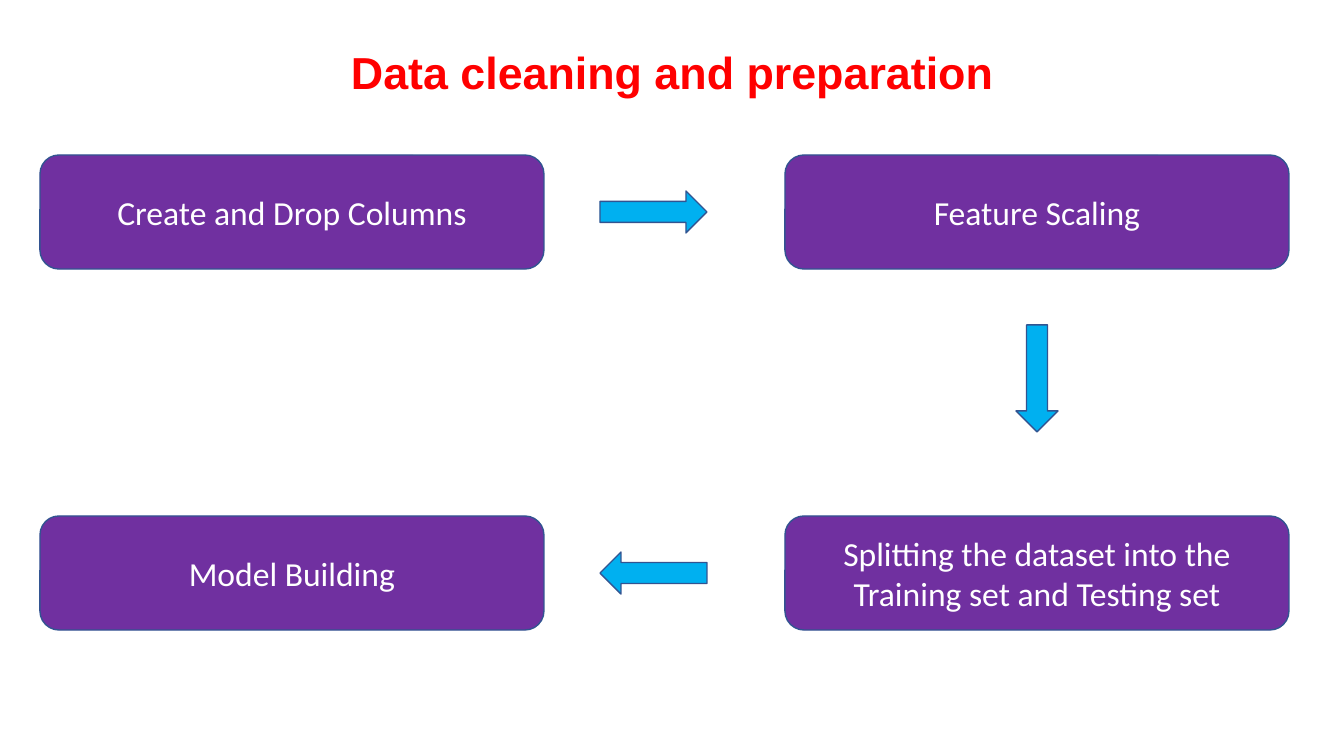
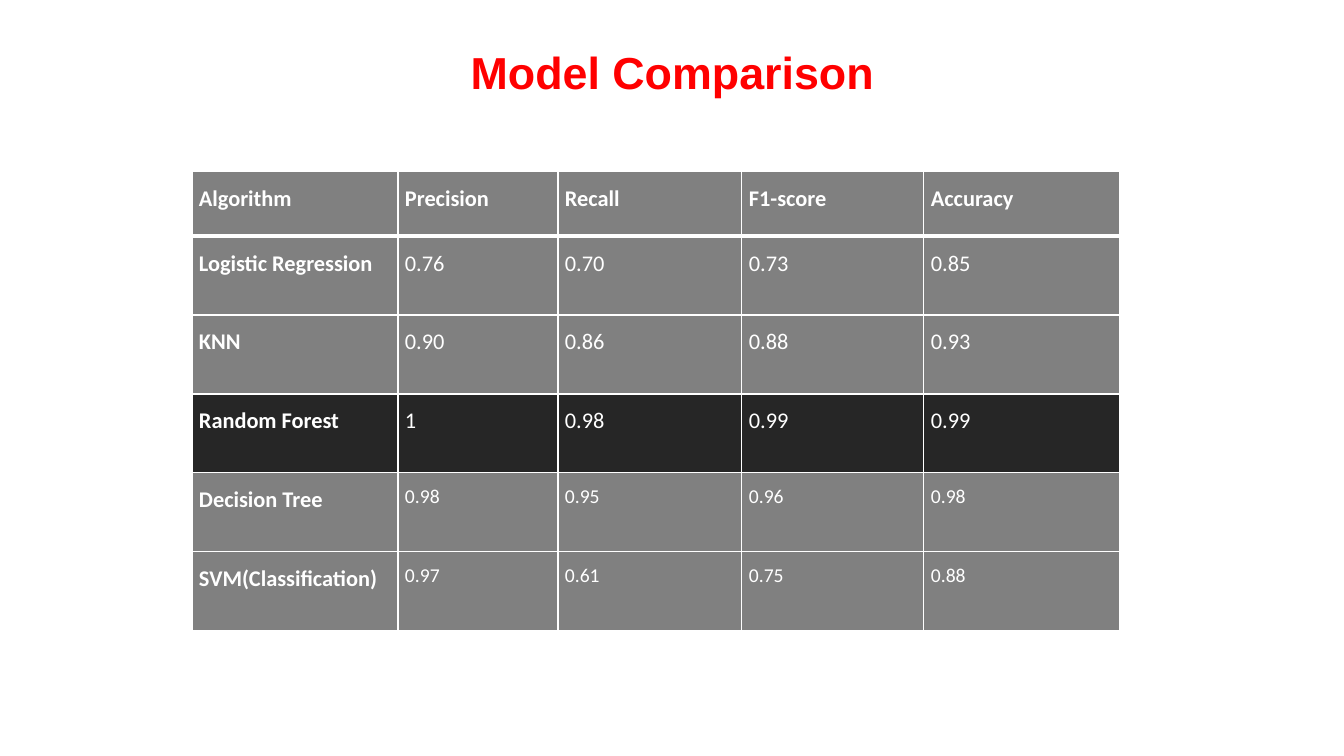
"""Build two slides: a data preparation flow and a model comparison table."""
from lxml import etree
from pptx import Presentation
from pptx import util as u
from pptx.dml.color import RGBColor
from pptx.enum import shapes, text
from pptx.oxml.ns import qn

SCALE = 914400 / 100.8
SLIDE_SIZE = (1344, 756)
TITLE_BOX = (93, 18, 1159, 114)
FLOW_BOX = (40, 155, 1249, 475)
TABLE_BOX = (192, 171, 928, 460)

RED = RGBColor(0xFF, 0x00, 0x00)
WHITE = RGBColor(0xFF, 0xFF, 0xFF)
PURPLE = RGBColor(0x70, 0x30, 0xA0)
SKY = RGBColor(0x00, 0xB0, 0xF0)
OUTLINE = RGBColor(0x32, 0x54, 0x91)
GRAY = RGBColor(0x80, 0x80, 0x80)
DARK = RGBColor(0x26, 0x26, 0x26)

TITLE_FONT = {"name": "Arial", "size": u.Pt(32), "bold": True}
STEP_FONT = {"name": "Calibri", "size": u.Pt(24)}
CENTERED = {"alignment": text.PP_ALIGN.CENTER}
TITLE_PARAGRAPH = {**CENTERED, "line_spacing": 0.9}
CELL_PARAGRAPH = {"alignment": text.PP_ALIGN.JUSTIFY, "line_spacing": 1.5, "space_after": u.Pt(8)}

STEP_SIZE = (504, 114)
ARROW_SIZE = (107, 42)
ARROW_GAP = 56
STEPS = (
    "Create and Drop Columns",
    "Feature Scaling",
    "Splitting the dataset into the Training set and Testing set",
    "Model Building",
)

COLUMN_WIDTHS = (206, 160, 184, 182, 196)
HEADER_HEIGHT = 65
HIGHLIGHTED_ROW = 3
SMALL_VALUE_ROWS = (4, 5)
SCORES = (
    ("Algorithm", "Precision", "Recall", "F1-score", "Accuracy"),
    ("Logistic Regression", "0.76", "0.70", "0.73", "0.85"),
    ("KNN", "0.90", "0.86", "0.88", "0.93"),
    ("Random Forest", "1", "0.98", "0.99", "0.99"),
    ("Decision Tree", "0.98", "0.95", "0.96", "0.98"),
    ("SVM(Classification)", "0.97", "0.61", "0.75", "0.88"),
)


def px(length):
    """Turn pixels into EMU."""
    return u.Emu(round(length * SCALE))


def apply(target, values):
    """Set each named attribute on the target."""
    for name, value in values.items():
        setattr(target, name, value)


def write(frame, content, font, color, paragraph_format):
    """Write one formatted paragraph into a text frame."""
    frame.word_wrap = True
    frame.vertical_anchor = text.MSO_ANCHOR.MIDDLE
    fill_paragraph(frame, content, font, color, paragraph_format)


def fill_paragraph(frame, content, font, color, paragraph_format):
    """Fill the first paragraph with one formatted run."""
    paragraph = frame.paragraphs[0]
    apply(paragraph, paragraph_format)
    run = paragraph.add_run()
    run.text = content
    apply(run.font, font)
    run.font.color.rgb = color


def add_titled_slide(presentation, title):
    """Add a title-only slide with the shared title style."""
    slide = presentation.slides.add_slide(presentation.slide_layouts[5])
    shape = slide.shapes.title
    apply(shape, dict(zip(("left", "top", "width", "height"), map(px, TITLE_BOX))))
    write(shape.text_frame, title, TITLE_FONT, RED, TITLE_PARAGRAPH)
    return slide


def add_block(slide, kind, box, color):
    """Add a filled and outlined preset shape."""
    shape = slide.shapes.add_shape(kind, *map(px, box))
    shape.shadow.inherit = False
    shape.fill.solid()
    shape.fill.fore_color.rgb = color
    shape.line.color.rgb = OUTLINE
    shape.line.width = u.Pt(1)
    return shape


def add_flow(slide, box):
    """Place four steps clockwise in the box corners, joined by arrows."""
    left, top, width, height = box
    step_width, step_height = STEP_SIZE
    arrow_width, arrow_height = ARROW_SIZE
    right, bottom = left + width - step_width, top + height - step_height
    reach = ARROW_GAP + arrow_width / 2
    between = left + step_width + reach
    arrows = (
        (between, top + step_height / 2, 0),
        (right + step_width / 2, top + step_height + reach, 90),
        (between, bottom + step_height / 2, 180),
    )
    for center_x, center_y, rotation in arrows:
        arrow_box = (center_x - arrow_width / 2, center_y - arrow_height / 2, *ARROW_SIZE)
        arrow = add_block(slide, shapes.MSO_SHAPE.RIGHT_ARROW, arrow_box, SKY)
        arrow.rotation = rotation
    corners = ((left, top), (right, top), (right, bottom), (left, bottom))
    for label, corner in zip(STEPS, corners):
        step = add_block(slide, shapes.MSO_SHAPE.ROUNDED_RECTANGLE, (*corner, *STEP_SIZE), PURPLE)
        write(step.text_frame, label, STEP_FONT, WHITE, CENTERED)


def set_borders(cell, widths):
    """Draw white cell borders with the given widths in points."""
    properties = cell._tc.get_or_add_tcPr()
    for side, width in widths.items():
        line = etree.SubElement(properties, qn(f"a:ln{side}"), w=str(u.Pt(width)))
        fill = etree.SubElement(line, qn("a:solidFill"))
        etree.SubElement(fill, qn("a:srgbClr"), val=str(WHITE))


def format_cell(cell, content, row, column):
    """Fill one table cell according to its row and column."""
    is_value = row > 0 and column > 0
    size = 14 if is_value and row in SMALL_VALUE_ROWS else 16
    font = {"name": "Calibri", "size": u.Pt(size), "bold": not is_value}
    set_borders(cell, {"L": 1, "R": 1, "T": 3 if row == 1 else 1, "B": 3 if row == 0 else 1})
    cell.fill.solid()
    cell.fill.fore_color.rgb = DARK if row == HIGHLIGHTED_ROW else GRAY
    apply(cell, {"margin_left": px(7), "margin_right": px(7), "margin_top": 0, "margin_bottom": 0})
    fill_paragraph(cell.text_frame, content, font, WHITE, CELL_PARAGRAPH)


def add_score_table(slide, box):
    """Add the table of scores in the given box."""
    table = slide.shapes.add_table(len(SCORES), len(COLUMN_WIDTHS), *map(px, box)).table
    table.horz_banding = False
    for column, width in zip(table.columns, COLUMN_WIDTHS):
        column.width = px(width)
    body_height = (box[3] - HEADER_HEIGHT) / (len(SCORES) - 1)
    for row, values in enumerate(SCORES):
        table.rows[row].height = px(body_height if row else HEADER_HEIGHT)
        for column, content in enumerate(values):
            format_cell(table.cell(row, column), content, row, column)


def main():
    """Build and save the presentation."""
    presentation = Presentation()
    presentation.slide_width, presentation.slide_height = map(px, SLIDE_SIZE)
    add_flow(add_titled_slide(presentation, "Data cleaning and preparation"), FLOW_BOX)
    add_score_table(add_titled_slide(presentation, "Model Comparison"), TABLE_BOX)
    presentation.save("out.pptx")


if __name__ == "__main__":
    main()
